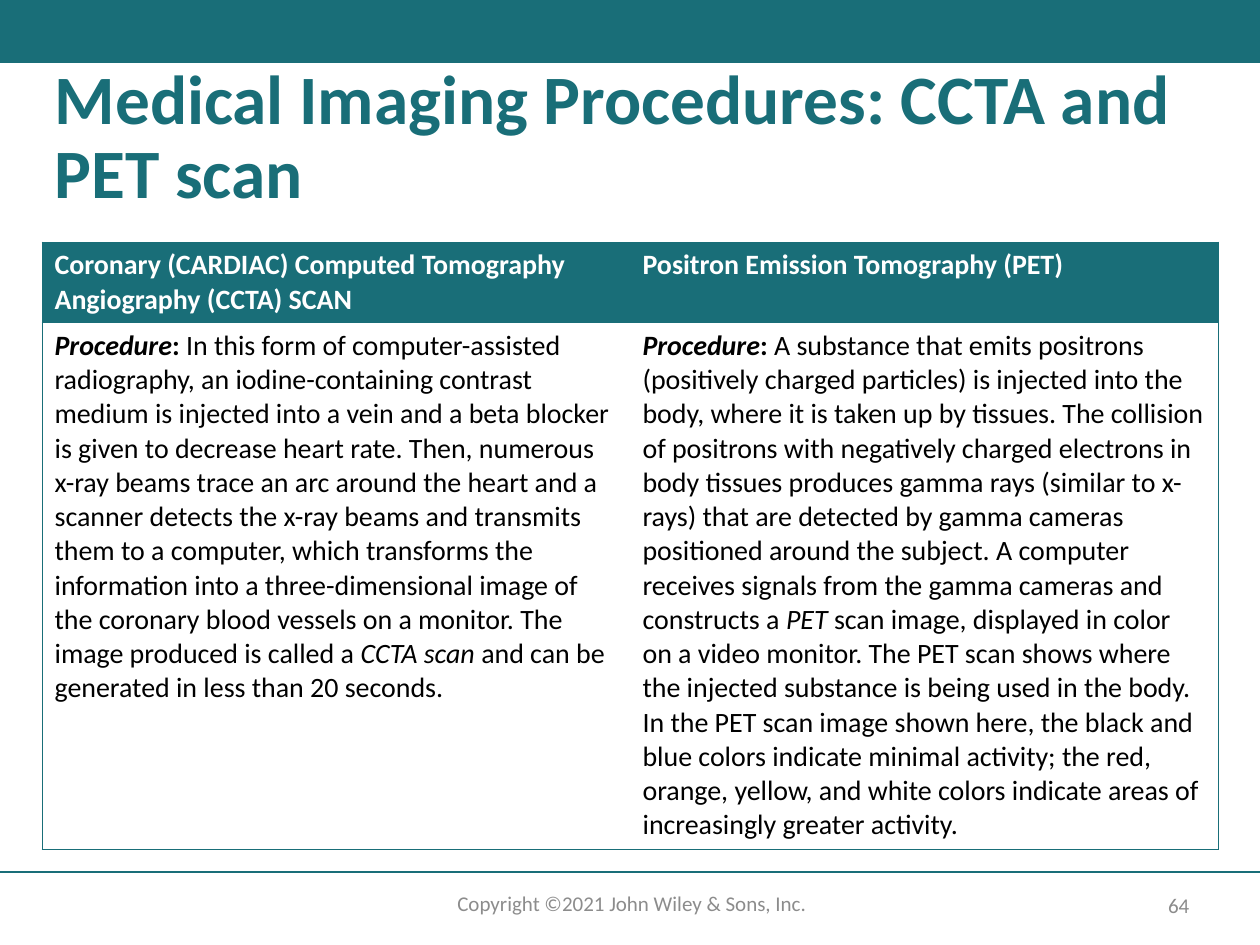
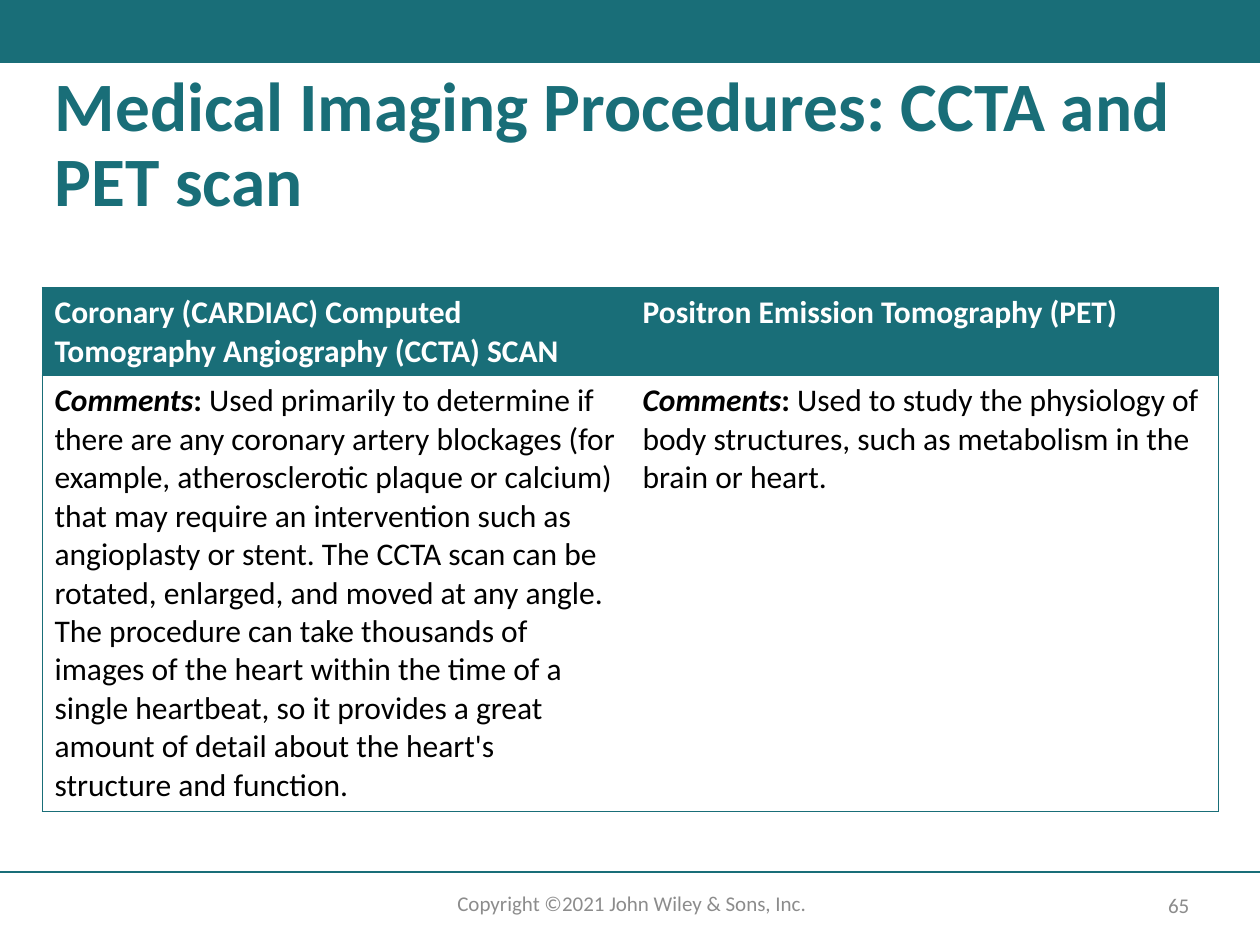
from lxml import etree
from pptx import Presentation
from pptx import util as u
from pptx.dml import color
from pptx.enum import shapes, text
from pptx.oxml import ns

TITLE = "Medical Imaging Procedures: CCTA and PET scan"
HEADERS = ["Coronary (CARDIAC) Computed Tomography Angiography (CCTA) SCAN",
           "Positron Emission Tomography (PET)"]
COPYRIGHT = "Copyright ©2021 John Wiley & Sons, Inc."

PROCEDURES = [
    [("Procedure", "bi"), (": ", "b"),
     ("In this form of computer-assisted radiography, an iodine-containing contrast medium "
      "is injected into a vein and a beta blocker is given to decrease heart rate. Then, "
      "numerous x-ray beams trace an arc around the heart and a scanner detects the x-ray "
      "beams and transmits them to a computer, which transforms the information into a "
      "three-dimensional image of the coronary blood vessels on a monitor. The image "
      "produced is called a ", ""),
     ("CCTA scan ", "i"), ("and can be generated in less than 20 seconds.", "")],
    [("Procedure", "bi"), (": ", "b"),
     ("A substance that emits positrons (positively charged particles) is injected into the "
      "body, where it is taken up by tissues. The collision of positrons with negatively "
      "charged electrons in body tissues produces gamma rays (similar to x-rays) that are "
      "detected by gamma cameras positioned around the subject. A computer receives signals "
      "from the gamma cameras and constructs a ", ""),
     ("PET ", "i"),
     ("scan image, displayed in color on a video monitor. The PET scan shows where the "
      "injected substance is being used in the body. In the PET scan image shown here, the "
      "black and blue colors indicate minimal activity; the red, orange, yellow, and white "
      "colors indicate areas of increasingly greater activity.", "")],
]

COMMENTS = [
    [("Comments", "bi"), (": ", "b"),
     ("Used primarily to determine if there are any coronary artery blockages (for example, "
      "atherosclerotic plaque or calcium) that may require an intervention such as "
      "angioplasty or stent. The CCTA scan can be rotated, enlarged, and moved at any angle. "
      "The procedure can take thousands of images of the heart within the time of a single "
      "heartbeat, so it provides a great amount of detail about the heart's structure and "
      "function.", "")],
    [("Comments", "bi"), (": ", "b"),
     ("Used to study the physiology of body structures, such as metabolism in the brain or "
      "heart.", "")],
]


def rgb(value):
    return color.RGBColor.from_string(value)


class Deck:
    FONT = "Calibri"
    TEAL, WHITE, BLACK, GRAY = "196E78", "FFFFFF", "000000", "8C8C8C"
    COLS, ROWS = 30, 15
    MARGIN, WIDTH = 1, 28

    def __init__(self):
        self.prs = Presentation()
        self.prs.slide_width, self.prs.slide_height = u.Inches(10), u.Inches(7.5)
        self.s = None

    def x(self, cols):
        return int(self.prs.slide_width * cols / self.COLS)

    def y(self, rows):
        return int(self.prs.slide_height * rows / self.ROWS)

    def box(self, col, row, cols, rows):
        return self.x(col), self.y(row), self.x(cols), self.y(rows)

    def style(self, font, size, hex_color, bold=False, italic=False):
        font.name, font.size = self.FONT, u.Pt(size)
        font.bold, font.italic = bold, italic
        font.color.rgb = rgb(hex_color)

    def slide(self, number):
        self.s = self.prs.slides.add_slide(self.prs.slide_layouts[5])
        self.band(0, 0, self.COLS, 1)
        self.rule(13.84)
        self.label(COPYRIGHT, 9.66, 14.04, 10.77, 0.6)
        self.label(str(number), 27.15, 14.08, 1.83, 0.56, text.MSO_ANCHOR.MIDDLE)

    def band(self, *place):
        sp = self.s.shapes.add_shape(shapes.MSO_SHAPE.RECTANGLE, *self.box(*place))
        sp.shadow.inherit = False
        sp.fill.solid()
        sp.fill.fore_color.rgb = rgb(self.TEAL)
        sp.line.fill.background()

    def rule(self, row):
        ln = self.s.shapes.add_connector(shapes.MSO_CONNECTOR.STRAIGHT, 0, self.y(row),
                                         self.x(self.COLS), self.y(row))
        ln.line.color.rgb = rgb(self.TEAL)
        ln.line.width = u.Pt(1)
        etree.SubElement(ln._element.spPr, ns.qn("a:effectLst"))

    def label(self, words, col, row, cols, rows, anchor=text.MSO_ANCHOR.TOP):
        tf = self.s.shapes.add_textbox(*self.box(col, row, cols, rows)).text_frame
        tf.word_wrap = True
        tf.vertical_anchor = anchor
        tf.text = words
        p = tf.paragraphs[0]
        p.alignment = text.PP_ALIGN.CENTER
        self.style(p.runs[0].font, 12, self.GRAY)

    def title(self, words, row, rows):
        sp = self.s.shapes.title
        sp.left, sp.top, sp.width, sp.height = self.box(self.MARGIN, row, self.WIDTH, rows)
        tf = sp.text_frame
        tf.text = words
        tf.word_wrap = True
        tf.auto_size = text.MSO_AUTO_SIZE.NONE
        tf.vertical_anchor = text.MSO_ANCHOR.TOP
        p = tf.paragraphs[0]
        p.alignment = text.PP_ALIGN.LEFT
        p.line_spacing = 0.9
        self.style(p.runs[0].font, 39.6, self.TEAL, bold=True)

    def cell(self, cell, runs, size, ink, fill, edges):
        p = cell.text_frame.paragraphs[0]
        for words, marks in runs:
            r = p.add_run()
            r.text = words
            self.style(r.font, size, ink, "b" in marks, "i" in marks)
        tc_pr = cell._tc.get_or_add_tcPr()
        for side in "LRTB":
            ln = etree.SubElement(tc_pr, ns.qn("a:ln" + side), w=str(u.Pt(0.5)))
            if side in edges:
                paint = etree.SubElement(ln, ns.qn("a:solidFill"))
                etree.SubElement(paint, ns.qn("a:srgbClr"), val=self.TEAL)
            else:
                etree.SubElement(ln, ns.qn("a:noFill"))
        cell.fill.solid()
        cell.fill.fore_color.rgb = rgb(fill)

    def table(self, headers, bodies, row, heights, size):
        place = self.box(self.MARGIN, row, self.WIDTH, sum(heights))
        tbl = self.s.shapes.add_table(2, len(headers), *place).table
        tbl.horz_banding = False
        for tbl_row, height in zip(tbl.rows, heights):
            tbl_row.height = self.y(height)
        for i, (header, body, side) in enumerate(zip(headers, bodies, "LR")):
            self.cell(tbl.cell(0, i), [(header, "b")], size, self.WHITE, self.TEAL, side + "TB")
            self.cell(tbl.cell(1, i), body, size, self.BLACK, self.WHITE, side + "TB")


def main():
    deck = Deck()

    deck.slide(64)
    deck.title(TITLE, 0.92, 2.44)
    deck.table(HEADERS, PROCEDURES, 3.84, (1.28, 8.36), 16)

    deck.slide(65)
    deck.title(TITLE, 1.04, 2.22)
    deck.table(HEADERS, COMMENTS, 4.56, (1.4, 6.92), 18)

    deck.prs.save("out.pptx")


if __name__ == "__main__":
    main()
